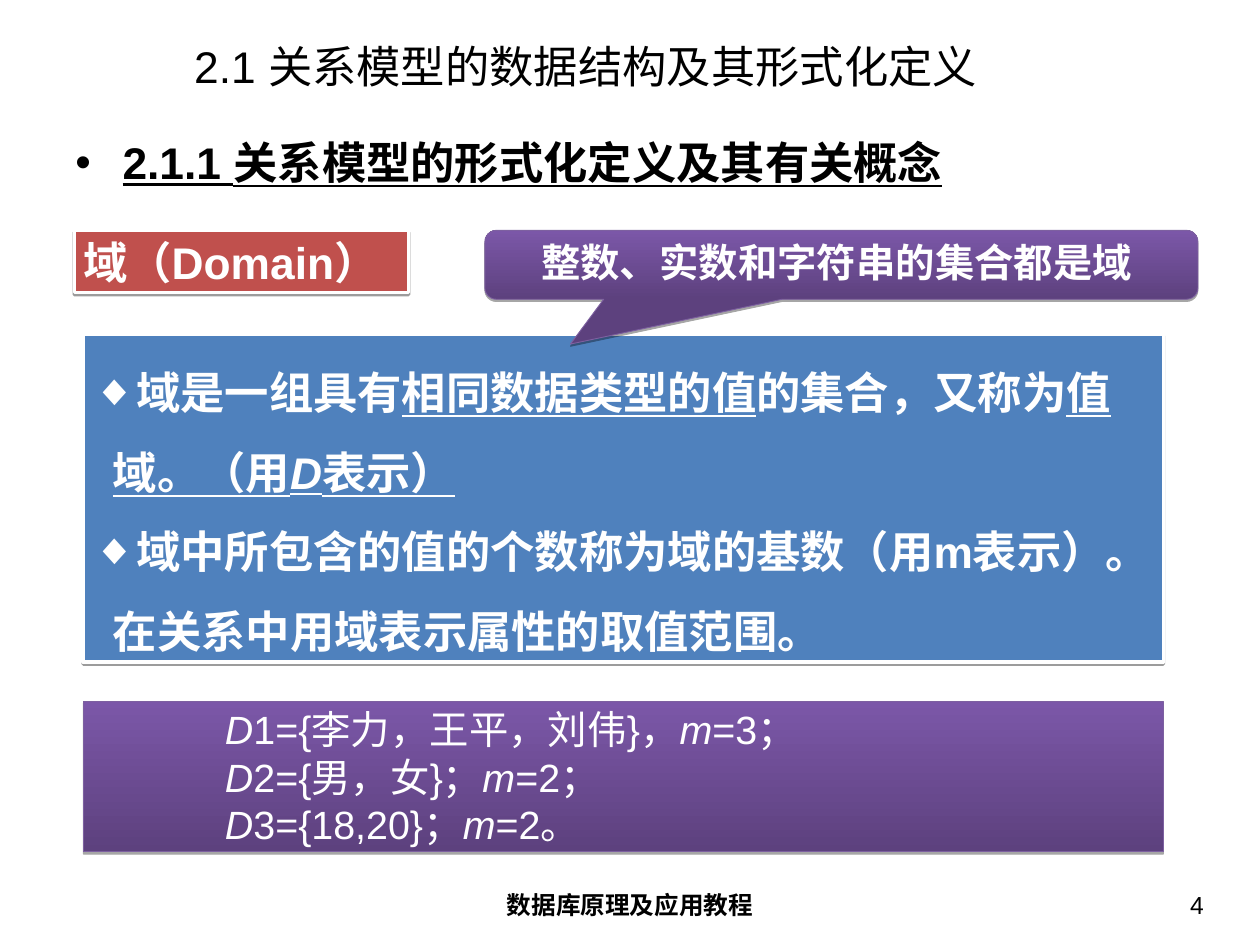
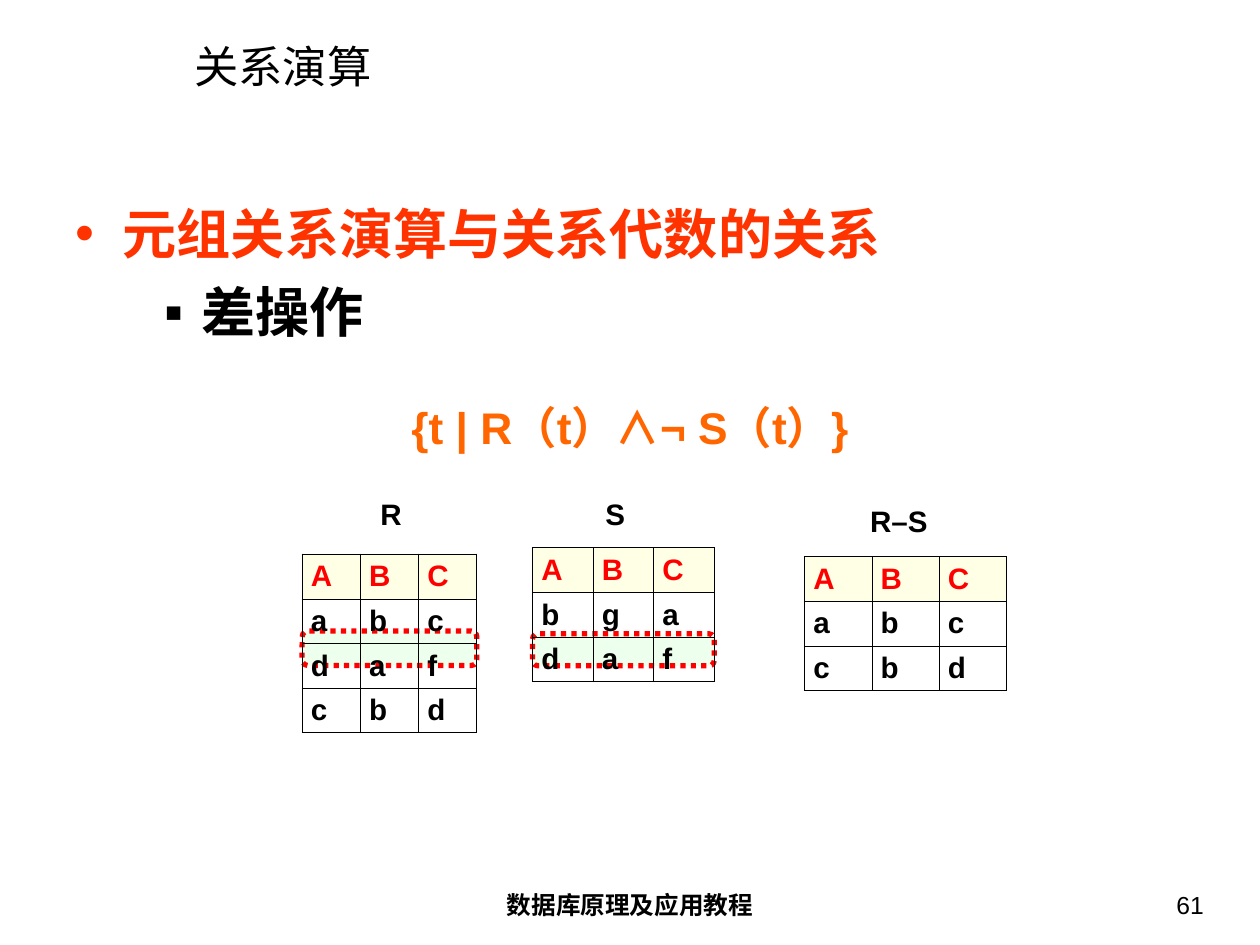
import pptx
import pptx.dml.color
import pptx.enum.dml
import pptx.enum.shapes
import pptx.enum.text
import pptx.oxml.ns
import pptx.util
from lxml import etree

Pt = pptx.util.Pt
RGBColor = pptx.dml.color.RGBColor
Shape = pptx.enum.shapes.MSO_SHAPE
Align = pptx.enum.text.PP_ALIGN
Anchor = pptx.enum.text.MSO_ANCHOR
qn = pptx.oxml.ns.qn

FONT = "Arial"
BLACK = RGBColor(0, 0, 0)
WHITE = RGBColor(255, 255, 255)
RED = RGBColor(255, 0, 0)
VERMILION = RGBColor(0xFF, 0x33, 0x00)
ORANGE = RGBColor(0xFF, 0x66, 0x00)
BRICK = RGBColor(0xC0, 0x50, 0x4D)
BLUE = RGBColor(0x4F, 0x81, 0xBD)
PURPLE_DARK = RGBColor(0x5D, 0x41, 0x7E)
PURPLE_LIGHT = RGBColor(0x7B, 0x57, 0xA8)
PURPLE_LINE = RGBColor(0x7D, 0x60, 0xA0)
CREAM = RGBColor(0xFF, 0xFF, 0xCC)
MINT = RGBColor(0xCC, 0xFF, 0xCC)

SLIDE_SIZE = (1023.88, 767.88)
TITLE_BOX = (147.8, 32.8, 852, 41)
FOOTER_BOX = (350, 718.5, 324, 39.5)
NUMBER_BOX = (749.3, 718.5, 239, 39.5)
BODY_LEFT, BODY_TOP, BODY_WIDTH = 51.2, 105, 921.5
WIDE_LEFT, WIDE_WIDTH = 67.7, 877.7
WIDE_INSETS = (10, 5)
INSETS = (7.2, 3.6)
FOOTER = "数据库原理及应用教程"

# Each paragraph is a list of (text, flags): b bold, i italic, u underline.
SECTION = [dict(runs=[("2.1.1 关系模型的形式化定义及其有关概念", "bu")],
                size=36, indent=(38.4, -38.4), bullet="•")]
DOMAIN = [dict(runs=[("域（Domain）", "b")], size=36, color=WHITE)]
CALLOUT = [dict(runs=[("整数、实数和字符串的集合都是域 ", "b")], size=32,
                color=WHITE, align=Align.CENTER)]
DEFINITIONS = [
    dict(runs=runs, size=36, color=WHITE, indent=(17, -17), bullet="◆", spacing=1.5)
    for runs in (
        [("域是一组具有", "b"), ("相同数据类型的值", "bu"), ("的集合，又称为", "b"),
         ("值域。（用", "bu"), ("D", "biu"), ("表示）", "bu")],
        [("域中所包含的值的个数称为域的基数（用m表示）。在关系中用域表示属性的取值范围。", "b")],
    )
]
EXAMPLES = [
    dict(runs=[("D", "i"), (values, ""), ("m", "i"), (count, "")],
         size=32, color=WHITE, indent=(108, 0))
    for values, count in (
        ("1={李力，王平，刘伟}，", "=3；"),
        ("2={男，女}；", "=2；"),
        ("3={18,20}；", "=2。"),
    )
]
DIFFERENCE = [
    dict(runs=[("元组关系演算与关系代数的关系", "b")], size=44, color=VERMILION,
         indent=(38.4, -38.4), bullet="•", spacing=2.0),
    dict(runs=[("差操作", "b")], size=44, indent=(102.4, -30), bullet="▪",
         level=1, before=11, after=11),
    dict(runs=[("{t | R（t）∧¬ S（t）}", "b")], size=36, color=ORANGE,
         align=Align.CENTER, indent=(38.4, -38.4), spacing=1.6, before=9),
]
ROW_HEIGHT = 36.25
RELATIONS = [
    dict(name="R", label=(302, 399.5, 34, 36), left=245.5, top=450.4, width=142,
         rows=["ABC", "abc", "daf", "cbd"], highlight=(512.8, 28)),
    dict(name="S", label=(484.8, 399.5, 27.5, 36), left=432.7, top=445.2, width=147.7,
         rows=["ABC", "bga", "daf"], highlight=(515, 26)),
    dict(name="R–S", label=(700, 405.5, 62.5, 36), left=653.7, top=452.4, width=164.2,
         rows=["ABC", "abc", "cbd"]),
]


def points(box):
    return [Pt(length) for length in box]


def place(shape, box):
    shape.left, shape.top, shape.width, shape.height = points(box)


def add_bullet(paragraph, character, color):
    properties = paragraph._p.get_or_add_pPr()
    if not character:
        etree.SubElement(properties, qn("a:buNone"))
        return
    bullet_color = etree.SubElement(properties, qn("a:buClr"))
    etree.SubElement(bullet_color, qn("a:srgbClr"), val=str(color))
    etree.SubElement(properties, qn("a:buFont"), typeface=FONT)
    etree.SubElement(properties, qn("a:buChar"), char=character)


def write_paragraph(paragraph, runs, size, color=BLACK, align=Align.LEFT, indent=(0, 0),
                    bullet=None, spacing=1.0, level=0, before=0, after=0):
    paragraph.level = level
    paragraph.alignment = align
    paragraph.line_spacing = spacing
    paragraph.space_before, paragraph.space_after = Pt(before), Pt(after)
    properties = paragraph._p.get_or_add_pPr()
    properties.set("marL", str(Pt(indent[0])))
    properties.set("indent", str(Pt(indent[1])))
    properties.set("hangingPunct", "0")
    add_bullet(paragraph, bullet, color)
    for text, flags in runs:
        run = paragraph.add_run()
        run.text = text
        font = run.font
        font.name, font.size, font.color.rgb = FONT, Pt(size), color
        font.bold, font.italic, font.underline = ("b" in flags, "i" in flags, "u" in flags)


def write_text(shape, paragraphs, insets=INSETS, anchor=Anchor.TOP, wrap=True):
    frame = shape.text_frame
    frame.word_wrap = wrap
    frame.auto_size = pptx.enum.text.MSO_AUTO_SIZE.NONE
    frame.vertical_anchor = anchor
    frame.margin_left = frame.margin_right = Pt(insets[0])
    frame.margin_top = frame.margin_bottom = Pt(insets[1])
    for index, content in enumerate(paragraphs):
        paragraph = frame.add_paragraph() if index else frame.paragraphs[0]
        write_paragraph(paragraph, **content)


def add_label(slide, box, text, size, flags="", align=Align.LEFT, insets=INSETS):
    label = slide.shapes.add_textbox(*points(box))
    write_text(label, [dict(runs=[(text, flags)], size=size, align=align)], insets)


def add_slide(presentation, title, number, body, body_height):
    """Add a slide with the shared title, body place, footer and number."""
    slide = presentation.slides.add_slide(presentation.slide_layouts[1])
    place(slide.shapes.title, TITLE_BOX)
    write_text(slide.shapes.title, [dict(runs=[(title, "")], size=36)],
               WIDE_INSETS, Anchor.MIDDLE)
    placeholder = slide.placeholders[1]
    place(placeholder, (BODY_LEFT, BODY_TOP, BODY_WIDTH, body_height))
    write_text(placeholder, body, WIDE_INSETS)
    add_label(slide, FOOTER_BOX, FOOTER, 20, "b", Align.CENTER, WIDE_INSETS)
    add_label(slide, NUMBER_BOX, number, 20, "", Align.RIGHT, WIDE_INSETS)
    return slide


def set_alpha(fill_parent, percent):
    color = fill_parent.find(qn("a:solidFill")).find(qn("a:srgbClr"))
    etree.SubElement(color, qn("a:alpha"), val=str(percent * 1000))


def add_shadow(shape, percent, distance):
    effects = shape._element.spPr.find(qn("a:effectLst"))
    shadow = etree.SubElement(effects, qn("a:outerShdw"), blurRad="0",
                              dist=str(Pt(distance)), dir="5400000", rotWithShape="0")
    color = etree.SubElement(shadow, qn("a:srgbClr"), val=str(BLACK))
    etree.SubElement(color, qn("a:alpha"), val=str(percent * 1000))


def add_panel(slide, kind, box, line_color, line_width):
    panel = slide.shapes.add_shape(kind, *points(box))
    panel.shadow.inherit = False
    panel.line.color.rgb = line_color
    panel.line.width = Pt(line_width)
    return panel


def add_flat_panel(slide, box, color, paragraphs, wrap=True):
    panel = add_panel(slide, Shape.RECTANGLE, box, WHITE, 3)
    panel.fill.solid()
    panel.fill.fore_color.rgb = color
    add_shadow(panel, 38, 1.6)
    write_text(panel, paragraphs, wrap=wrap)


def add_purple_panel(slide, kind, box, paragraphs):
    panel = add_panel(slide, kind, box, PURPLE_LINE, 0.75)
    panel.fill.gradient()
    panel.fill.gradient_angle = 90
    for stop, position, color in zip(panel.fill.gradient_stops, (0, 1),
                                     (PURPLE_DARK, PURPLE_LIGHT)):
        stop.position, stop.color.rgb = position, color
    add_shadow(panel, 35, 1.8)
    write_text(panel, paragraphs)
    return panel


def add_highlight(slide, box):
    highlight = add_panel(slide, Shape.ROUNDED_RECTANGLE, box, RED, 4.25)
    highlight.line.dash_style = pptx.enum.dml.MSO_LINE.ROUND_DOT
    highlight.fill.solid()
    highlight.fill.fore_color.rgb = MINT
    set_alpha(highlight._element.spPr, 35)


def set_borders(cell, outer_sides):
    properties = cell._tc.get_or_add_tcPr()
    for side in "LRTB":
        width = 1.08 if side in outer_sides else 0.45
        line = etree.SubElement(properties, qn("a:ln" + side), w=str(Pt(width)))
        fill = etree.SubElement(line, qn("a:solidFill"))
        etree.SubElement(fill, qn("a:srgbClr"), val=str(BLACK))


def add_relation(slide, left, top, width, rows):
    row_count, column_count = len(rows), len(rows[0])
    table = slide.shapes.add_table(
        row_count, column_count, *points((left, top, width, ROW_HEIGHT * row_count))).table
    table.first_row = table.horz_banding = False
    for column in table.columns:
        column.width = Pt(width / column_count)
    for row_index, values in enumerate(rows):
        table.rows[row_index].height = Pt(ROW_HEIGHT)
        for column_index, value in enumerate(values):
            cell = table.cell(row_index, column_index)
            cell.vertical_anchor = Anchor.MIDDLE
            is_header = row_index == 0
            write_paragraph(cell.text_frame.paragraphs[0], [(value, "b")], 24,
                            RED if is_header else BLACK)
            edges = dict(L=column_index == 0, R=column_index == column_count - 1,
                         T=is_header, B=row_index == row_count - 1)
            set_borders(cell, [side for side, is_outer in edges.items() if is_outer])
            if is_header:
                cell.fill.solid()
                cell.fill.fore_color.rgb = CREAM
                set_alpha(cell._tc.tcPr, 50)
            else:
                cell.fill.background()


def build_domain_slide(presentation):
    slide = add_slide(presentation, "2.1 关系模型的数据结构及其形式化定义", "4", SECTION, 64)
    add_flat_panel(slide, (60.5, 187.3, 271.5, 50.5), BRICK, DOMAIN, wrap=False)
    add_flat_panel(slide, (WIDE_LEFT, 271.5, WIDE_WIDTH, 266.5), BLUE, DEFINITIONS)
    callout = add_purple_panel(slide, Shape.ROUNDED_RECTANGULAR_CALLOUT,
                               (394, 187.2, 579.5, 56), CALLOUT)
    callout.adjustments[0], callout.adjustments[1] = -0.38, 1.15
    add_purple_panel(slide, Shape.RECTANGLE, (WIDE_LEFT, 569.7, WIDE_WIDTH, 122.5), EXAMPLES)


def build_difference_slide(presentation):
    slide = add_slide(presentation, "关系演算", "61", DIFFERENCE, 591)
    for relation in RELATIONS:
        left, width = relation["left"], relation["width"]
        add_label(slide, relation["label"], relation["name"], 24, "b")
        if "highlight" in relation:
            top, height = relation["highlight"]
            add_highlight(slide, (left, top, width, height))
        add_relation(slide, left, relation["top"], width, relation["rows"])


def main():
    presentation = pptx.Presentation()
    presentation.slide_width, presentation.slide_height = points(SLIDE_SIZE)
    build_domain_slide(presentation)
    build_difference_slide(presentation)
    presentation.save("out.pptx")


if __name__ == "__main__":
    main()
